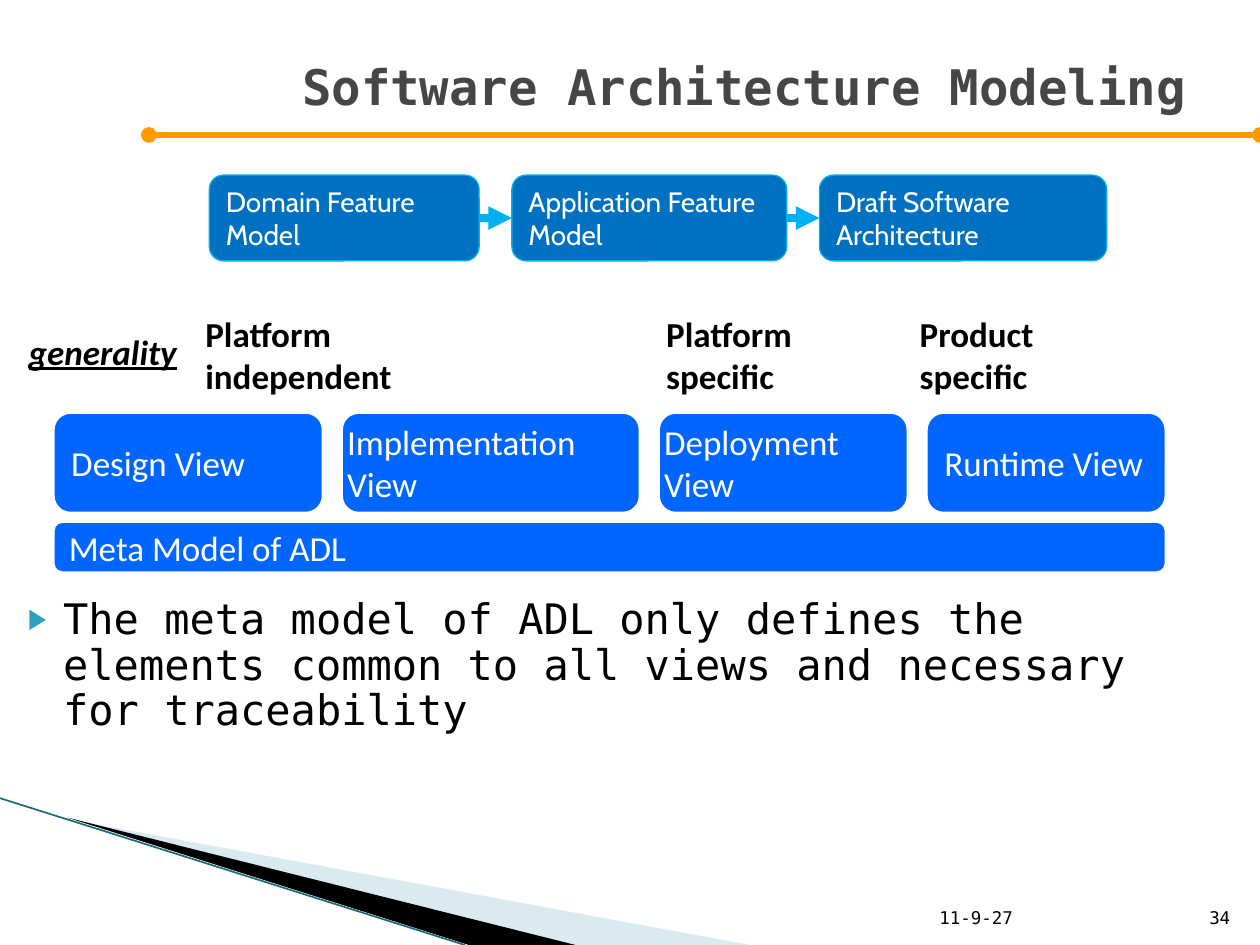
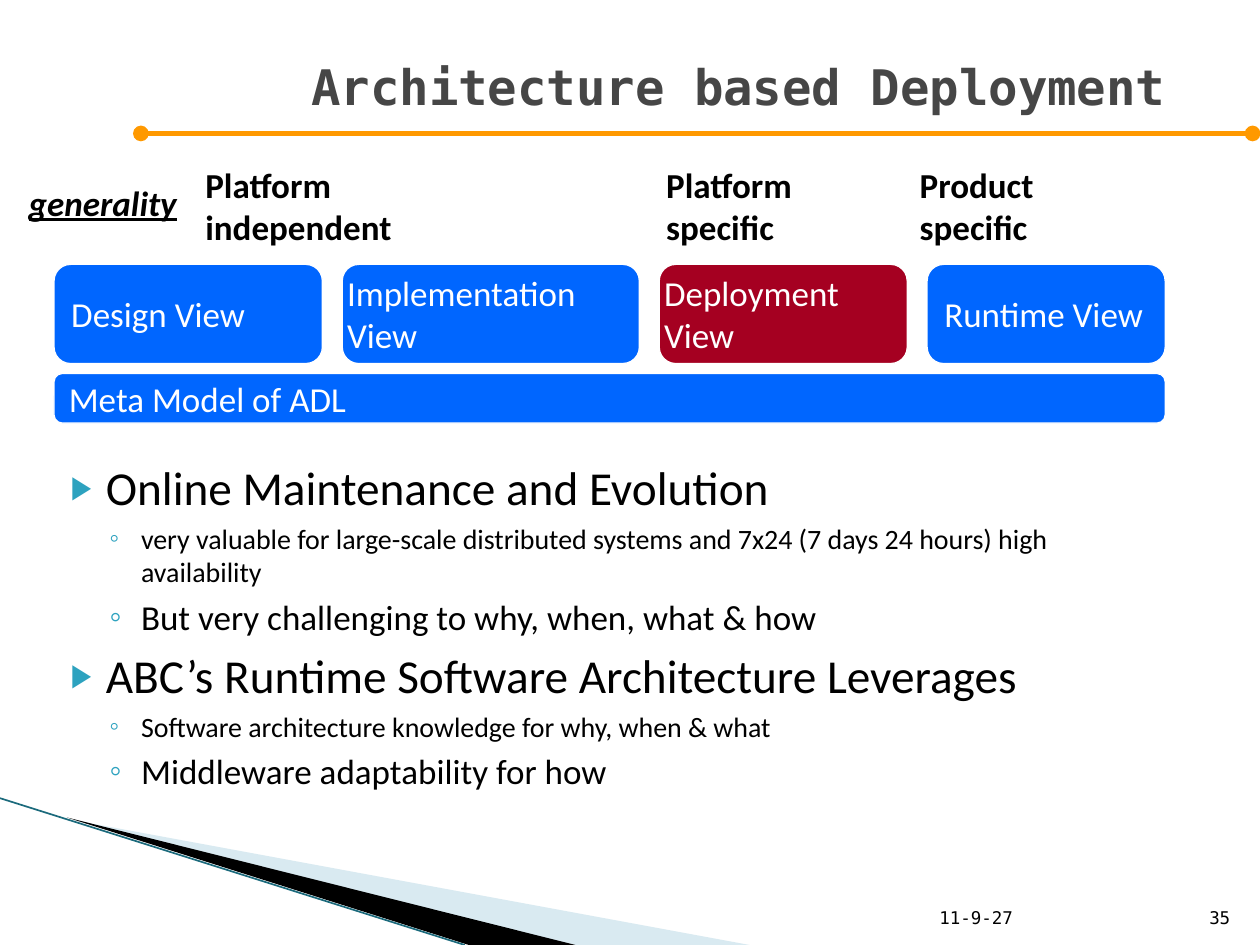
import pptx
import pptx.chart.data
import pptx.dml.color
import pptx.enum.shapes
import pptx.enum.text
import pptx.oxml
import pptx.oxml.ns
import pptx.util
import lxml.etree

Cm = pptx.util.Cm
Pt = pptx.util.Pt
RGB = pptx.dml.color.RGBColor
KIND = pptx.enum.shapes.MSO_SHAPE
JOIN = pptx.enum.shapes.MSO_CONNECTOR
ALIGN = pptx.enum.text.PP_ALIGN
ANCHOR = pptx.enum.text.MSO_ANCHOR
FIT = pptx.enum.text.MSO_AUTO_SIZE

WHITE = RGB(0xFF, 0xFF, 0xFF)
BLACK = RGB(0x00, 0x00, 0x00)
GREY = RGB(0x46, 0x46, 0x46)
ORANGE = RGB(0xFF, 0x99, 0x00)
BLUE = RGB(0x00, 0x66, 0xFF)
RED = RGB(0xA5, 0x00, 0x21)
NAVY = RGB(0x00, 0x70, 0xC0)
SKY = RGB(0x00, 0xB0, 0xF0)
AQUA = RGB(0x2D, 0xA2, 0xBF)
PALE = RGB(0xA0, 0xCB, 0xDC)
TEAL = RGB(0x1B, 0x6A, 0x7C)

MONO, SANS, STEP = "DejaVu Sans Mono", "Calibri", "Cabin"

# Lengths below are in centimetres.
DATE = "11-9-27"
STEPS = [("Domain Feature Model", 5.44), ("Application Feature Model", 5.54),
         ("Draft Software Architecture", 5.79)]
VIEWS = [("Design View", 5.41, 0.25), ("Implementation View", 5.99, 0),
         ("Deployment View", 5.0, 0), ("Runtime View", 4.8, 0.25)]
META = "Meta Model of ADL"
SCOPES = [("Platform independent", 3.89, 5.59), ("Platform specific", 13.18, 4.52),
          ("Product specific", 18.29, 5.0)]
SLIDES = [
    {
        "title": "Software Architecture Modeling", "page": "34",
        "left": 1.3, "rule": (3.0, 2.72, 25.4),
        "views": 8.33, "marked": None, "steps": True,
        "body": (0, 11.94, 24.31, 3.61), "font": MONO, "tight": 0.9,
        "points": [(0, 24, "The meta model of ADL only defines the elements "
                           "common to all views and necessary for traceability")],
    },
    {
        "title": "Architecture based Deployment", "page": "35",
        "left": 0.89, "rule": (2.84, 2.69, 25.25),
        "views": 5.33, "marked": "Deployment View", "steps": False,
        "body": (0.86, 9.12, 22.86, 8.2), "font": SANS, "tight": 1.0,
        "points": [
            (0, 27, "Online Maintenance and Evolution"),
            (1, 16, "very valuable for large-scale distributed systems and "
                    "7x24 (7 days 24 hours) high availability"),
            (1, 20, "But very challenging to why, when, what & how"),
            (0, 27, "ABC’s Runtime Software Architecture Leverages"),
            (1, 16, "Software architecture knowledge for why, when & what"),
            (1, 20, "Middleware adaptability for how"),
        ],
    },
]
# Per level: sign, its size in percent, left margin, hanging indent.
BULLETS = [("▶", 68, 1.02, 0.71), ("◦", 100, 1.73, 0.64)]
WEDGES = [(PALE, 40, [(1.4, 16.52), (15.11, 19.05), (11.58, 19.05)]),
          (BLACK, 100, [(1.35, 16.48), (11.6, 19.05), (9.45, 19.05)])]
VIEW_LEFT, VIEW_GAP = 1.09, 0.4
STEP_LEFT, STEP_TOP, STEP_GAP = 4.22, 3.53, 0.66


def sub(node, tag, **attrs):
    child = lxml.etree.SubElement(node, pptx.oxml.ns.qn(tag))
    for key, value in attrs.items():
        child.set(key, str(value))
    return child


def style(para, font, size, color, bold=False):
    for run in para.runs:
        run.font.name = font
        run.font.size = Pt(size)
        run.font.color.rgb = color
        run.font.bold = bold


def place(shape, left, top, width, height):
    shape.left, shape.top = Cm(left), Cm(top)
    shape.width, shape.height = Cm(width), Cm(height)


def draw_line(slide, start, end, color, width, head=None, tail=None):
    line = slide.shapes.add_connector(JOIN.STRAIGHT, *map(Cm, start + end))
    line.line.color.rgb = color
    line.line.width = Pt(width)
    stroke = line.line._get_or_add_ln()
    if head:
        sub(stroke, "a:headEnd", type=head)
    if tail:
        sub(stroke, "a:tailEnd", type=tail)
    sub(line._element.spPr, "a:effectLst")
    return line


def add_text(slide, text, box, font, size, bold=False):
    shape = slide.shapes.add_textbox(*map(Cm, box))
    frame = shape.text_frame
    frame.word_wrap = True
    frame.text = text
    style(frame.paragraphs[0], font, size, BLACK, bold)
    return frame


def add_box(slide, text, box, fill, edge, font, size, inset=0.25):
    shape = slide.shapes.add_shape(KIND.ROUNDED_RECTANGLE, *map(Cm, box))
    shape.shadow.inherit = False
    shape.fill.solid()
    shape.fill.fore_color.rgb = fill
    shape.line.color.rgb = edge
    shape.line.width = Pt(0.75)
    frame = shape.text_frame
    frame.word_wrap = True
    frame.vertical_anchor = ANCHOR.MIDDLE
    frame.margin_left = frame.margin_right = Cm(inset)
    frame.text = text
    frame.paragraphs[0].alignment = ALIGN.LEFT
    style(frame.paragraphs[0], font, size, WHITE)
    return shape


def add_wedges(slide):
    for color, alpha, points in WEDGES:
        first, *rest = [(Cm(x), Cm(y)) for x, y in points]
        path = slide.shapes.build_freeform(*first)
        path.add_line_segments(rest)
        wedge = path.convert_to_shape()
        wedge.shadow.inherit = False
        wedge.fill.solid()
        wedge.fill.fore_color.rgb = color
        wedge.line.fill.background()
        if alpha < 100:
            tint = wedge._element.spPr.find(".//" + pptx.oxml.ns.qn("a:srgbClr"))
            sub(tint, "a:alpha", val=alpha * 1000)
    draw_line(slide, (0, 16.09), (9.37, 19.05), TEAL, 0.95)


def add_frame(slide, data):
    """Add what all slides share: wedges, title, rule and footer."""
    add_wedges(slide)
    title = slide.shapes.title
    place(title, data["left"], 0.15, 22.86, 3.18)
    frame = title.text_frame
    frame.text = data["title"]
    frame.vertical_anchor = ANCHOR.MIDDLE
    frame.auto_size = FIT.NONE
    frame.paragraphs[0].alignment = ALIGN.RIGHT
    style(frame.paragraphs[0], MONO, 28, GREY, True)
    left, top, right = data["rule"]
    draw_line(slide, (left, top), (right, top), ORANGE, 3, "oval", "oval")
    date = add_text(slide, DATE, (18.69, 17.81, 5.33, 1.02), MONO, 10)
    page = add_text(slide, data["page"], (24.03, 17.81, 1.02, 1.02), MONO, 10)
    date.vertical_anchor = page.vertical_anchor = ANCHOR.BOTTOM
    page.paragraphs[0].alignment = ALIGN.RIGHT


def add_steps(slide):
    left, last = STEP_LEFT, None
    for text, width in STEPS:
        step = add_box(slide, text, (left, STEP_TOP, width, 1.73),
                       NAVY, SKY, STEP, 16)
        if last:
            arrow = draw_line(slide, (0, 0), (1, 1), SKY, 4.5, tail="triangle")
            arrow.begin_connect(last, 3)
            arrow.end_connect(step, 1)
        left, last = left + width + STEP_GAP, step


def add_views(slide, top, marked):
    left = VIEW_LEFT
    for text, width, inset in VIEWS:
        fill = RED if text == marked else BLUE
        add_box(slide, text, (left, top, width, 2.0), fill, WHITE, SANS, 20, inset)
        left += width + VIEW_GAP
    span = left - VIEW_GAP - VIEW_LEFT
    add_box(slide, META, (VIEW_LEFT, top + 2.2, span, 1.0), BLUE, WHITE, SANS, 20)
    for text, x, width in SCOPES:
        scope = add_text(slide, text, (x, top - 2.16, width, 1.96), SANS, 20, True)
        scope.auto_size = FIT.SHAPE_TO_FIT_TEXT
    axis = add_text(slide, "generality", (0.33, top - 1.8, 3.51, 1.12), SANS, 20, True)
    axis.word_wrap = False
    axis.auto_size = FIT.SHAPE_TO_FIT_TEXT
    font = axis.paragraphs[0].runs[0].font
    font.italic = font.underline = True


def add_points(slide, data):
    body = slide.placeholders[1]
    place(body, *data["body"])
    frame = body.text_frame
    frame.auto_size = FIT.NONE
    for rank, (level, size, text) in enumerate(data["points"]):
        para = frame.add_paragraph() if rank else frame.paragraphs[0]
        para.text = text
        para.level = level
        sign, scale, margin, hang = BULLETS[level]
        props = para._p.get_or_add_pPr()
        props.set("marL", str(Cm(margin)))
        props.set("indent", str(-Cm(hang)))
        sub(sub(props, "a:buClr"), "a:srgbClr", val=AQUA)
        sub(props, "a:buSzPct", val=scale * 1000)
        sub(props, "a:buChar", char=sign)
        para.line_spacing = data["tight"]
        para.space_before = Pt(size * 0.2 if rank else 0)
        style(para, data["font"], size, BLACK)


def main():
    deck = pptx.Presentation()
    deck.slide_width, deck.slide_height = Cm(25.4), Cm(19.05)
    for data in SLIDES:
        slide = deck.slides.add_slide(deck.slide_layouts[1])
        add_frame(slide, data)
        if data["steps"]:
            add_steps(slide)
        add_views(slide, data["views"], data["marked"])
        add_points(slide, data)
    deck.save("out.pptx")


if __name__ == "__main__":
    main()
